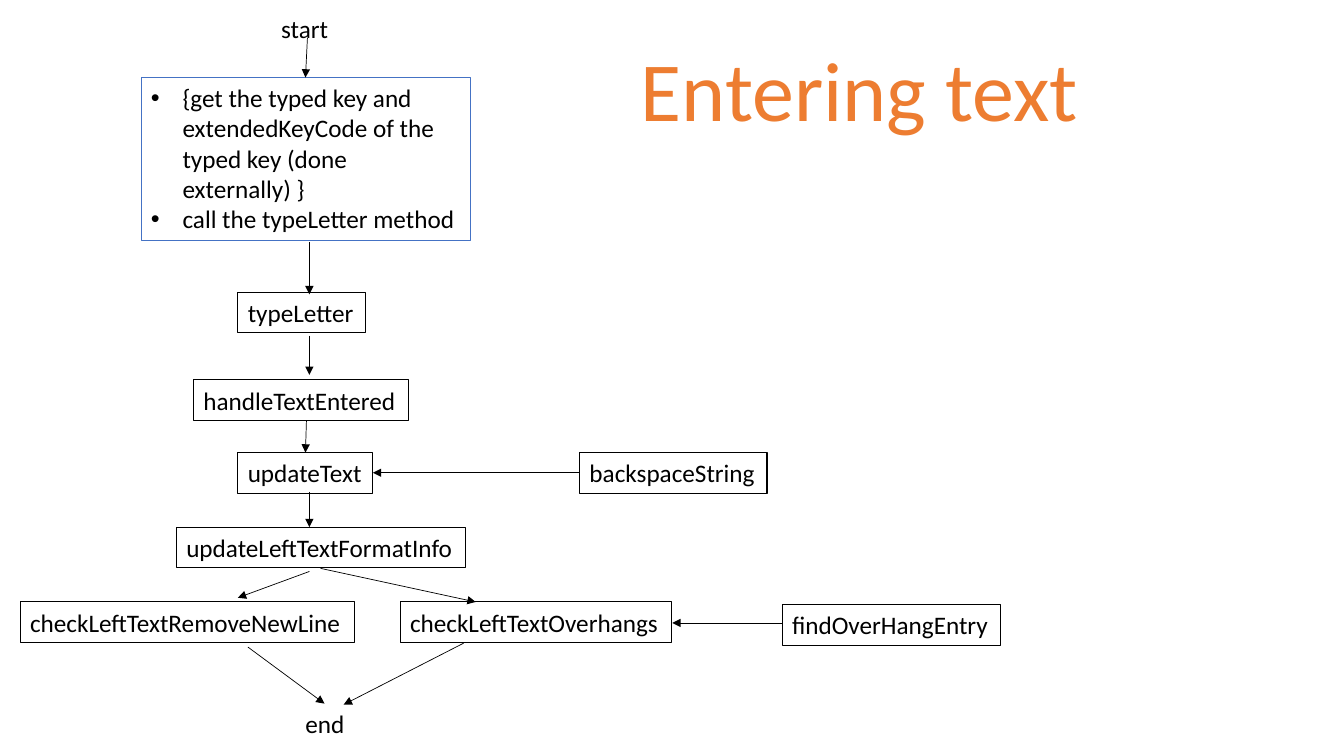
"""Build the "Entering text" call flow slide."""
from lxml import etree
from pptx import Presentation
from pptx.dml.color import RGBColor
from pptx.enum.shapes import MSO_CONNECTOR
from pptx.enum.text import MSO_AUTO_SIZE
from pptx.oxml.ns import qn
from pptx.util import Pt

STRAIGHT = MSO_CONNECTOR.STRAIGHT
GROW = MSO_AUTO_SIZE.SHAPE_TO_FIT_TEXT
BLACK, BLUE, ORANGE = "000000", "4472C4", "ED7D31"
ROW_HEIGHT = 29


def color(hex_string):
    return RGBColor.from_string(hex_string)


def add_text(text, left, top, width, height=ROW_HEIGHT, size=18, ink=BLACK,
             border=None, wrap=False, bullets=False):
    box = slide.shapes.add_textbox(Pt(left), Pt(top), Pt(width), Pt(height))
    if border:
        box.line.color.rgb = color(border)
        box.line.width = Pt(0.75)
    frame = box.text_frame
    frame.text = text
    frame.word_wrap = wrap
    frame.auto_size = GROW
    for paragraph in frame.paragraphs:
        font = paragraph.runs[0].font
        font.name = "Calibri"
        font.size = Pt(size)
        font.color.rgb = color(ink)
        if bullets:
            properties = paragraph._p.get_or_add_pPr()
            properties.set("marL", str(Pt(22.5)))
            properties.set("indent", str(-Pt(22.5)))
            etree.SubElement(properties, qn("a:buFont"), typeface="Arial")
            etree.SubElement(properties, qn("a:buChar"), char="•")


presentation = Presentation()
presentation.slide_width = Pt(960)
presentation.slide_height = Pt(540)
slide = presentation.slides.add_slide(presentation.slide_layouts[6])

add_text("Entering text", 450.7, 23, 329.8, height=80, size=60, ink=ORANGE)
add_text("start", 193.7, 5.8, 48.2)
add_text("end", 211, 502.6, 42.5)
add_text("{get the typed key and extendedKeyCode of the typed key (done externally) }\n"
         "call the typeLetter method",
         100.8, 55.4, 235, height=116.6, border=BLUE, wrap=True, bullets=True)

methods = [
    ("typeLetter", 169.9, 208.8, 91.4),
    ("handleTextEntered", 138.2, 271.4, 153.4),
    ("updateText", 169.9, 323.3, 96.5),
    ("backspaceString", 414, 323.3, 133.9),
    ("updateLeftTextFormatInfo", 126, 376.6, 206.6),
    ("checkLeftTextRemoveNewLine", 14.4, 430, 239),
    ("checkLeftTextOverhangs", 285.8, 430, 193.7),
    ("findOverHangEntry", 558.7, 432, 156.2),
]
for method, left, top, width in methods:
    add_text(method, left, top, width, border=BLACK)

calls = [
    (219.6, 27, 218.2, 55.4),
    (221, 172.8, 221, 210.2),
    (221, 239.8, 221, 267.8),
    (218.9, 300.2, 218.2, 323.3),
    (221, 351.4, 221, 376.6),
    (414, 337.7, 266.4, 337.7),
    (221, 408.2, 169.9, 427),
    (229, 406, 339.8, 430),
    (558.7, 445, 480.2, 445),
    (177.1, 462.2, 231.8, 502.6),
    (331.2, 459.4, 245.5, 503.3),
]
for call in calls:
    arrow = slide.shapes.add_connector(STRAIGHT, *map(Pt, call))
    arrow.line.color.rgb = color(BLACK)
    arrow.line.width = Pt(0.5)
    etree.SubElement(arrow.line._get_or_add_ln(), qn("a:tailEnd"), type="triangle")
    etree.SubElement(arrow._element.spPr, qn("a:effectLst"))

presentation.save("out.pptx")
